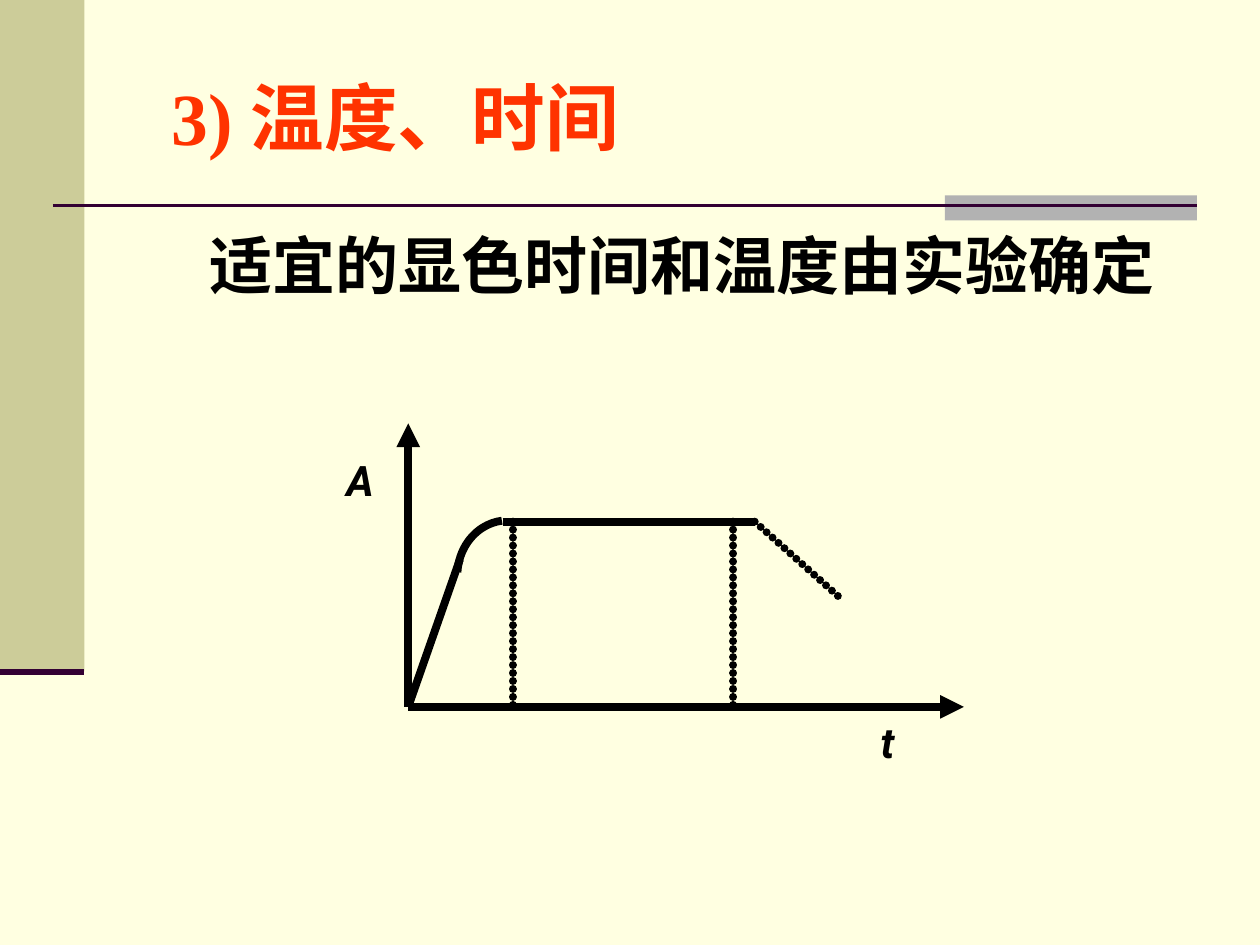
from lxml import etree
from pptx import Presentation
from pptx.dml.color import RGBColor
from pptx.enum.shapes import MSO_CONNECTOR, MSO_SHAPE
from pptx.enum.text import MSO_ANCHOR, PP_ALIGN
from pptx.oxml.ns import qn
from pptx.util import Inches, Pt

LINE, RECT, ARC = MSO_CONNECTOR.STRAIGHT, MSO_SHAPE.RECTANGLE, MSO_SHAPE.ARC
LEFT, TOP, MID = PP_ALIGN.LEFT, MSO_ANCHOR.TOP, MSO_ANCHOR.MIDDLE

# Content
TITLE = "3) 温度、时间"
BODY = "适宜的显色时间和温度由实验确定"
LABELS = [("A", 2.65, 3.56, 0.41), ("t", 6.89, 5.64, 0.33)]
BLACK, PLUM = "000000", "330033"

# Graph geometry
X0, Y0 = 3.24, 5.61
FLAT, DROP = 4.14, 5.99
AXES = [(X0, Y0, 7.65, Y0), (X0, Y0, X0, 3.36)]
SOLID = [(X0, Y0, 3.65, 4.44), (3.99, FLAT, DROP, FLAT)]
DOTTED = [(DROP, FLAT, 6.65, 4.73)] + [(x, FLAT, x, 5.64) for x in (4.07, 5.82)]
BEND = (3.63, 4.13, 0.8, 0.88)


def rgb(code):
    return RGBColor.from_string(code)


def box(at):
    return [Inches(v) for v in at]


def style(font, name, size, color, italic=False):
    font.name, font.size, font.bold, font.italic = name, Pt(size), True, italic
    font.color.rgb = rgb(color)


def bar(at, color):
    shape = slide.shapes.add_shape(RECT, *box(at))
    shape.shadow.inherit = False
    shape.fill.solid()
    shape.fill.fore_color.rgb = rgb(color)
    shape.line.fill.background()


def line(ends, color=BLACK, width=4.5, arrow=False, dots=False):
    wire = slide.shapes.add_connector(LINE, *box(ends))
    wire.line.color.rgb = rgb(color)
    wire.line.width = Pt(width)
    props = wire.line._get_or_add_ln()
    if dots:
        props.set("cap", "rnd")
        dash = etree.SubElement(props, qn("a:custDash"))
        etree.SubElement(dash, qn("a:ds"), d="1000", sp="100000")
        etree.SubElement(props, qn("a:round"))
    if arrow:
        etree.SubElement(props, qn("a:tailEnd"), type="triangle")
    etree.SubElement(wire._element.spPr, qn("a:effectLst"))


def fill(holder, at, text, indent, anchor, *look):
    holder.left, holder.top, holder.width, holder.height = box(at)
    frame = holder.text_frame
    frame.text = text
    frame.vertical_anchor = anchor
    para = frame.paragraphs[0]
    para.alignment, para.space_before = LEFT, Pt(0)
    props = para._p.get_or_add_pPr()
    props.set("marL", str(Inches(indent)))
    props.set("indent", "0")
    etree.SubElement(props, qn("a:buNone"))
    style(para.runs[0].font, *look)


prs = Presentation()
prs.slide_width, prs.slide_height = Inches(10), Inches(7.5)
slide = prs.slides.add_slide(prs.slide_layouts[1])
slide.background.fill.solid()
slide.background.fill.fore_color.rgb = rgb("FFFFE1")

# Side band and rule
bar((0, 0, 0.67, 5.33), "CCCC99")
bar((7.5, 1.55, 2, 0.2), "B2B2B2")
line((0.42, 1.63, 9.5, 1.63), PLUM, 1.5)
line((0, 5.33, 0.67, 5.33), PLUM, 3.5)

# Title and statement
title, body = slide.placeholders
fill(title, (1, 0.3, 8.5, 1.25), TITLE, 0.26, MID, "Times New Roman", 42, "FF3300")
fill(body, (1, 1.75, 8.5, 3.08), BODY, 0.56, TOP, "Arial", 36, BLACK)

# Graph
for ends in AXES:
    line(ends, arrow=True)
for ends in SOLID:
    line(ends)
for ends in DOTTED:
    line(ends, dots=True)

# Bend from the rise to the plateau: arc angles are set in 0.6 per degree
bend = slide.shapes.add_shape(ARC, *box(BEND))
bend.shadow.inherit = False
bend.fill.background()
bend.line.color.rgb = rgb(BLACK)
bend.line.width = Pt(4.5)
for i, angle in enumerate((184, 264)):
    bend.adjustments[i] = angle * 0.6

# Axis names
for text, x, y, width in LABELS:
    frame = slide.shapes.add_textbox(*box((x, y, width, 0.5))).text_frame
    frame.word_wrap = False
    frame.text = text
    style(frame.paragraphs[0].runs[0].font, "Roboto", 24, BLACK, True)

prs.save("out.pptx")
